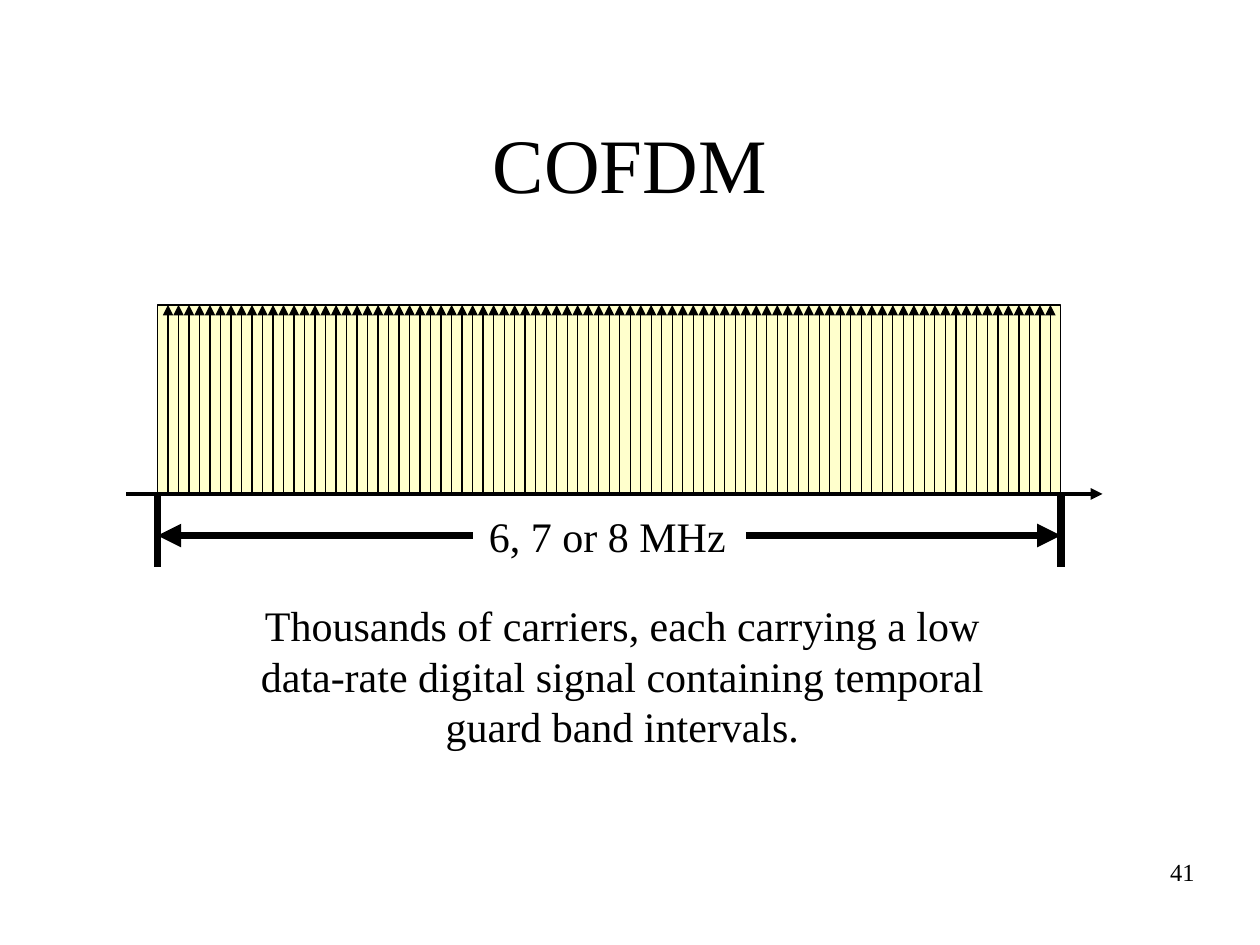
from lxml.etree import SubElement
from pptx import Presentation
from pptx.dml.color import RGBColor
from pptx.enum.shapes import MSO_CONNECTOR, MSO_SHAPE
from pptx.enum.text import MSO_ANCHOR, MSO_AUTO_SIZE, PP_ALIGN
from pptx.oxml.ns import qn
from pptx.util import Inches, Pt

BLACK = RGBColor(0x00, 0x00, 0x00)
CREAM = RGBColor(0xFF, 0xFF, 0xCC)
FONT = "Times New Roman"
CARRIERS = 85


def write(box, *lines, size=24, align=PP_ALIGN.CENTER, anchor=MSO_ANCHOR.TOP,
          wrap=True, fit=MSO_AUTO_SIZE.NONE):
    """Fill a box with one paragraph per line of text."""
    frame = box.text_frame
    frame.word_wrap = wrap
    frame.auto_size = fit
    frame.vertical_anchor = anchor
    for index, text in enumerate(lines):
        para = frame.add_paragraph() if index else frame.paragraphs[0]
        para.alignment = align
        span = para.add_run()
        span.text = text
        span.font.name = FONT
        span.font.size = Pt(size)
        span.font.color.rgb = BLACK


def add_line(shapes, start, end, width, arrow=False):
    """Draw a straight line, with an optional arrowhead at its end."""
    points = [Inches(value) for value in (*start, *end)]
    line = shapes.add_connector(MSO_CONNECTOR.STRAIGHT, *points)
    line.line.color.rgb = BLACK
    line.line.width = Pt(width)
    properties = line._element.spPr
    if arrow:
        SubElement(properties.find(qn("a:ln")), qn("a:tailEnd"), type="triangle")
    SubElement(properties, qn("a:effectLst"))


def add_text(shapes, left, top, width, height, *lines, **style):
    box = shapes.add_textbox(Inches(left), Inches(top), Inches(width), Inches(height))
    write(box, *lines, **style)


def add_title(page, left, top, width, height):
    title = page.shapes.title
    title.left, title.top = Inches(left), Inches(top)
    title.width, title.height = Inches(width), Inches(height)
    write(title, "COFDM", size=44, anchor=MSO_ANCHOR.MIDDLE)


def add_channel(page, left, top, width, height):
    """Channel band with its frequency axis and bandwidth marker."""
    shapes = page.shapes.add_group_shape().shapes
    right, base = left + width, top + height

    # Band
    band = shapes.add_shape(MSO_SHAPE.RECTANGLE, Inches(left), Inches(top),
                            Inches(width), Inches(height))
    band.shadow.inherit = False
    band.fill.solid()
    band.fill.fore_color.rgb = CREAM
    band.line.color.rgb = BLACK
    band.line.width = Pt(0.75)

    # Frequency axis and edge marks
    add_line(shapes, (left - 0.25, base), (right + 0.33, base), 2.25, arrow=True)
    for edge in (left, right):
        add_line(shapes, (edge, base), (edge, base + 0.58), 4.5)

    # Bandwidth label between two outward arrows
    add_text(shapes, 3.78, base + 0.08, 2.08, 0.5, "6, 7 or 8 MHz",
             wrap=False, fit=MSO_AUTO_SIZE.SHAPE_TO_FIT_TEXT)
    middle = base + 0.33
    for edge, inner in ((left, left + 2.5), (right, right - 2.5)):
        add_line(shapes, (inner, middle), (edge, middle), 4.5, arrow=True)


def add_carriers(page, left, top, width, height):
    """Evenly spaced carriers inside the band."""
    shapes = page.shapes.add_group_shape().shapes
    gap = width / (CARRIERS + 1)
    for number in range(1, CARRIERS + 1):
        x = left + number * gap
        add_line(shapes, (x, top + height), (x, top), 0.75, arrow=True)


def main():
    deck = Presentation()
    deck.slide_width, deck.slide_height = Inches(10), Inches(7.5)
    page = deck.slides.add_slide(deck.slide_layouts[5])

    add_title(page, 0.75, 0.67, 8.5, 1.25)
    band = (1.25, 2.42, 7.17, 1.5)
    add_channel(page, *band)
    add_carriers(page, *band)

    # Explanation and page number
    add_text(page.shapes, 1.97, 4.71, 5.94, 1.3,
             "Thousands of carriers, each carrying a low",
             "data-rate digital signal containing temporal",
             "guard band intervals.",
             wrap=False, fit=MSO_AUTO_SIZE.SHAPE_TO_FIT_TEXT)
    add_text(page.shapes, 7.5, 6.75, 2.08, 0.5, "41", size=14, align=PP_ALIGN.RIGHT)

    deck.save("out.pptx")


if __name__ == "__main__":
    main()
